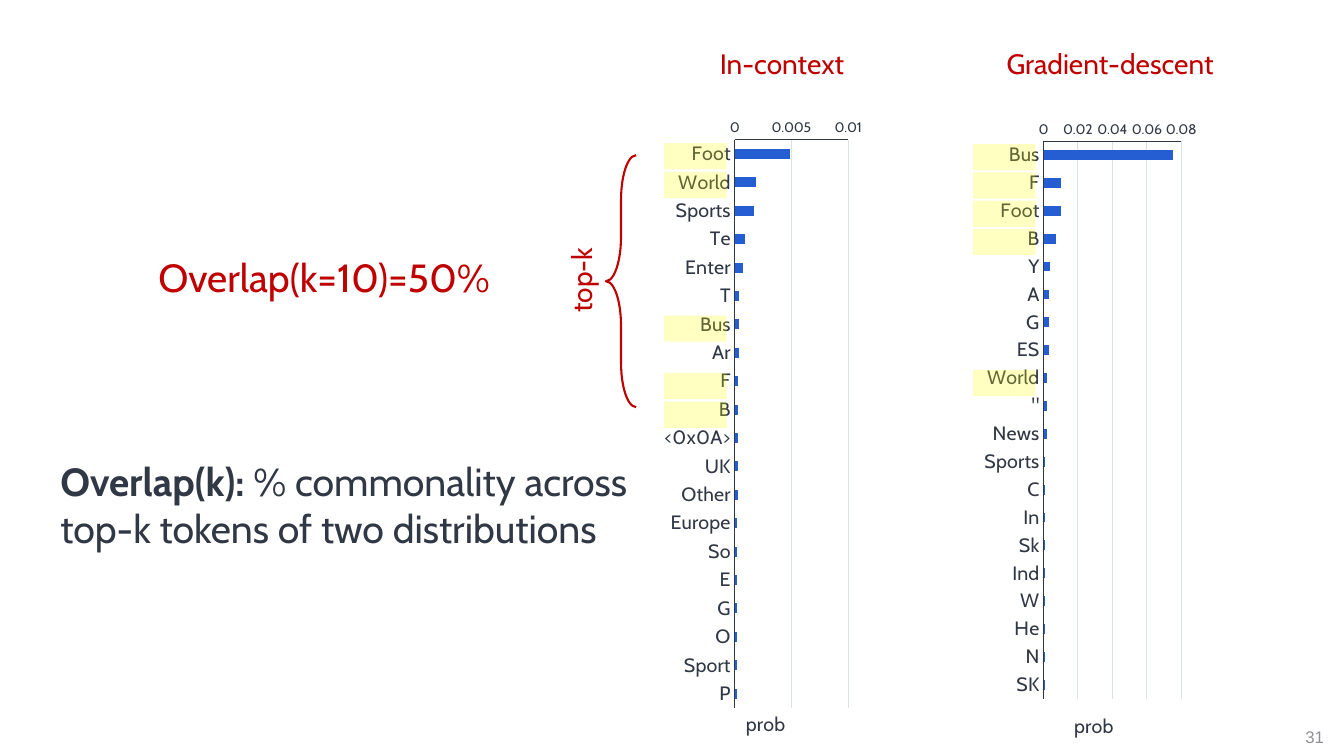
from pptx import Presentation, util as u
from pptx.chart.data import CategoryChartData
from pptx.dml.color import RGBColor
from pptx.enum import chart as ch, shapes, text
from pptx.oxml import parse_xml
from pptx.oxml.ns import nsdecls, qn

RED, INK, GRID, BAR, YELLOW = "C00000", "303845", "DCE0E7", "255ED3", "FFFF00"
TOP_K = 10

IN_CONTEXT = dict(zip(
    ["Foot", "World", "Sports", "Te", "Enter", "T", "Bus", "Ar", "F", "B",
     "<0x0A>", "UK", "Other", "Europe", "So", "E", "G", "O", "Sport", "P"],
    [0.0049, 0.0019, 0.0017, 0.0009, 0.0007] + [0.0004] * 3 + [0.0003] * 5 + [0.0002] * 7))
GRADIENT = dict(zip(
    ["Bus", "F", "Foot", "B", "Y", "A", "G", "ES", "World", "\"",
     "News", "Sports", "C", "In", "Sk", "Ind", "W", "He", "N", "SK"],
    [0.075, 0.01, 0.01, 0.007, 0.004] + [0.003] * 3 + [0.002] * 3 + [0.001] * 9))
SHARED = set(list(IN_CONTEXT)[:TOP_K]) & set(list(GRADIENT)[:TOP_K])


def paint(color_format, hex_color):
    """Set a colour from a hex string."""
    color_format.rgb = RGBColor.from_string(hex_color)


def style(font, size, color, name="Cabin", bold=False):
    """Set the face, size, weight and colour of a font."""
    font.name, font.size, font.bold = name, u.Pt(size), bold
    paint(font.color, color)


def rule(line, color, width=0.75):
    """Set the colour and width of a line."""
    paint(line.color, color)
    line.width = u.Pt(width)


def label(slide, box, parts, size, color, name="Cabin", centred=True):
    """Place one paragraph of (wording, bold) parts in a box."""
    holder = slide.shapes.add_textbox(*map(u.Inches, box))
    frame = holder.text_frame
    frame.word_wrap = True
    frame.auto_size = text.MSO_AUTO_SIZE.SHAPE_TO_FIT_TEXT
    paragraph = frame.paragraphs[0]
    paragraph.alignment = text.PP_ALIGN.CENTER if centred else text.PP_ALIGN.LEFT
    for wording, bold in parts:
        run = paragraph.add_run()
        run.text = wording
        style(run.font, size, color, name, bold)
    return holder


def manual_layout(inner=False, **shares):
    """Build a chart layout element from shares of the chart."""
    target = '<c:layoutTarget val="inner"/>' if inner else ""
    modes = '<c:xMode val="edge"/><c:yMode val="edge"/>'
    sizes = "".join(f'<c:{key} val="{value}"/>' for key, value in shares.items())
    return parse_xml(f'<c:layout {nsdecls("c")}><c:manualLayout>{target}{modes}{sizes}'
                     '</c:manualLayout></c:layout>')


def drop_layout(element):
    """Remove the automatic layout of a chart part."""
    for layout in element.findall(qn("c:layout")):
        element.remove(layout)


def format_axes(chart, top, step, prob_at):
    """Format the token axis and the probability axis."""
    tokens, prob = chart.category_axis, chart.value_axis
    tokens.reverse_order = True
    tokens.has_major_gridlines = False
    prob.minimum_scale, prob.maximum_scale, prob.major_unit = 0, top, step
    prob.has_major_gridlines = True
    rule(prob.major_gridlines.format.line, GRID)
    prob.tick_labels.number_format = "General"
    prob.tick_labels.number_format_is_linked = False
    for axis, size in ((tokens, 14), (prob, 10)):
        axis.major_tick_mark = axis.minor_tick_mark = ch.XL_TICK_MARK.NONE
        style(axis.tick_labels.font, size, INK)
        rule(axis.format.line, INK)
    title = prob.axis_title
    title.text_frame.text = "prob"
    style(title.text_frame.paragraphs[0].runs[0].font, 14, INK)
    drop_layout(title.element)
    title.element.find(qn("c:tx")).addnext(manual_layout(x=prob_at[0], y=prob_at[1]))


def highlight(slide, left, middle):
    """Mark one token label with translucent yellow."""
    width, height = 0.62, 0.26
    mark = slide.shapes.add_shape(shapes.MSO_SHAPE.RECTANGLE, u.Inches(left),
                                  u.Inches(middle - height / 2), u.Inches(width), u.Inches(height))
    mark.shadow.inherit = False
    mark.fill.solid()
    paint(mark.fill.fore_color, YELLOW)
    mark.line.fill.background()
    color = mark.fill._xPr.find(".//" + qn("a:srgbClr"))
    color.append(parse_xml(f'<a:alpha {nsdecls("a")} val="24000"/>'))


def distribution(slide, box, probs, plot, scale, prob_at):
    """Draw one token distribution and mark its shared tokens."""
    data = CategoryChartData()
    data.categories = list(probs)
    data.add_series("Series 1", list(probs.values()))
    chart = slide.shapes.add_chart(ch.XL_CHART_TYPE.BAR_CLUSTERED,
                                   *map(u.Inches, box), data).chart
    chart.has_legend = chart.has_title = False
    style(chart.font, 10, INK)
    bars = chart.plots[0]
    bars.gap_width, bars.vary_by_categories = 182, False
    fill = bars.series[0].format.fill
    fill.solid()
    paint(fill.fore_color, BAR)
    format_axes(chart, *scale, prob_at)
    area = chart.element.find(".//" + qn("c:plotArea"))
    drop_layout(area)
    area.insert(0, manual_layout(True, **plot))

    left, top, width, height = box
    pitch = plot["h"] * height / len(probs)
    for row, token in enumerate(list(probs)[:TOP_K]):
        if token in SHARED:
            highlight(slide, left + plot["x"] * width - 0.7,
                      top + plot["y"] * height + (row + 0.5) * pitch + 0.01)


def top_k_brace(slide, box):
    """Draw the brace over the top-k rows with its upright label."""
    left, top, width, height = box
    brace = slide.shapes.add_shape(shapes.MSO_SHAPE.LEFT_BRACE, *map(u.Inches, box))
    brace.adjustments[0] = 1.47
    brace.shadow.inherit = False
    brace.fill.background()
    rule(brace.line, RED, 1.5)
    label(slide, (left - 1.27, top + height / 2 - 0.23, 2.05, 0.44),
          [("top-k", False)], 20, RED).rotation = 270


def overlap_notes(slide, left):
    """Write the overlap result and its definition."""
    label(slide, (left + 0.8, 2.46, 3.83, 0.57), [("Overlap(k=10)=50%", False)], 28, RED)
    label(slide, (left, 4.49, 5.96, 1.04),
          [("Overlap(k):", True),
           (" % commonality across top-k tokens of two distributions", False)],
          28, INK, centred=False)


def main():
    """Build and save the slide."""
    deck = Presentation()
    deck.slide_width, deck.slide_height = u.Inches(13.33), u.Inches(7.5)
    slide = deck.slides.add_slide(deck.slide_layouts[6])
    distribution(slide, (9.48, 0.43, 2.53, 6.96), GRADIENT,
                 dict(x=0.344, y=0.141, w=0.54, h=0.804), (0.08, 0.02), (0.45, 0.96))
    distribution(slide, (6.47, 0.41, 2.29, 6.96), IN_CONTEXT,
                 dict(x=0.357, y=0.142, w=0.491, h=0.819), (0.01, 0.005), (0.39, 0.96))
    for heading, left, width in (("In-context", 6.73, 2.05), ("Gradient-descent", 9.78, 2.46)):
        label(slide, (left, 0.41, width, 0.44), [(heading, False)], 20, RED)
    top_k_brace(slide, (6.01, 1.54, 0.3, 2.5))
    overlap_notes(slide, 0.5)
    number = label(slide, (12.75, 7.11, 0.58, 0.4), [("31", False)], 12, "8F9194", "Arial")
    number.text_frame.auto_size = text.MSO_AUTO_SIZE.NONE
    number.text_frame.vertical_anchor = text.MSO_ANCHOR.MIDDLE
    deck.save("out.pptx")


if __name__ == "__main__":
    main()
